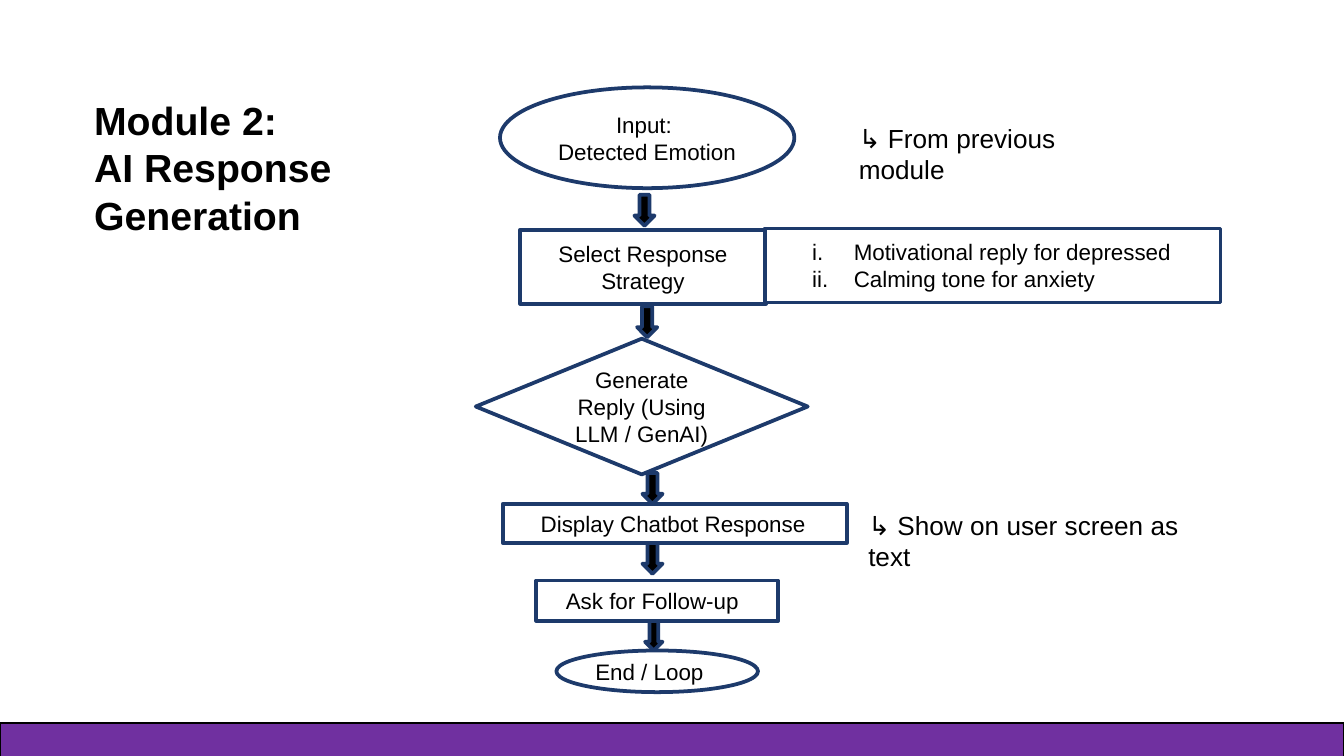
from dataclasses import dataclass
from lxml.etree import SubElement
from pptx import Presentation
from pptx.dml.color import RGBColor
from pptx.enum.shapes import MSO_SHAPE
from pptx.enum.text import MSO_ANCHOR, PP_ALIGN
from pptx.oxml.ns import qn
from pptx.util import Inches, Pt


@dataclass(frozen=True)
class Theme:
    font: str = "Arial"
    ink: str = "000000"
    edge: str = "1D3A6B"
    paper: str = "FFFFFF"
    band: str = "7030A0"
    title: int = 21
    note: int = 14
    body: int = 12


THEME = Theme()
WIDE = 10
SIZE = (WIDE, WIDE * 9 / 16)
BAND = (0, 5.38, WIDE, 0.25)
ARROWS = [
    (4.72, 1.45, 0.15, 0.23),
    (4.74, 2.28, 0.15, 0.23),
    (4.78, 3.52, 0.15, 0.23),
    (4.78, 4.04, 0.15, 0.23),
    (4.8, 4.62, 0.13, 0.22),
]
OVAL, BOX, GEM = MSO_SHAPE.OVAL, MSO_SHAPE.PARALLELOGRAM, MSO_SHAPE.DIAMOND
MID, LEFT = PP_ALIGN.CENTER, PP_ALIGN.LEFT
STEPS = [
    (OVAL, (3.72, 0.65, 2.19, 0.75), "Input: \nDetected Emotion", MID, False),
    (BOX, (3.87, 1.71, 1.83, 0.55), "Select Response Strategy", MID, False),
    (BOX, (5.69, 1.7, 3.39, 0.55),
     "Motivational reply for depressed\nCalming tone for anxiety", LEFT, True),
    (GEM, (3.54, 2.52, 2.47, 1.01), "Generate Reply (Using LLM / GenAI)", MID, False),
    (BOX, (3.74, 3.75, 2.56, 0.29), "Display Chatbot Response", LEFT, False),
    (BOX, (3.99, 4.32, 1.8, 0.3), "Ask for Follow-up", LEFT, False),
    (OVAL, (4.14, 4.84, 1.5, 0.31), "End / Loop", LEFT, False),
]
LABELS = [
    ((0.63, 0.68, 3.11, 1.14), "Module 2:\vAI Response Generation", THEME.title, True),
    ((6.32, 0.87, 2.26, 0.31), "↳ From previous module", THEME.note, False),
    ((6.39, 3.75, 2.79, 0.31), "↳ Show on user screen as text", THEME.note, False),
]


def color(code):
    """Turn a hex code into a colour."""
    return RGBColor.from_string(code)


def place(at):
    """Turn a tuple of inches into lengths."""
    return [Inches(n) for n in at]


def write(shape, text, size=THEME.body, bold=False, align=LEFT,
          anchor=MSO_ANCHOR.MIDDLE, roman=False):
    """Put formatted text into a shape."""
    frame = shape.text_frame
    frame.word_wrap = True
    frame.vertical_anchor = anchor
    frame.margin_left = frame.margin_right = Inches(0.07)
    frame.margin_top = frame.margin_bottom = Inches(0.04)
    frame.text = text
    for para in frame.paragraphs:
        para.alignment = align
        for run in para.runs:
            font = run.font
            font.name, font.size, font.bold = THEME.font, Pt(size), bold
            font.color.rgb = color(THEME.ink)
        if roman:
            props = para._p.get_or_add_pPr()
            props.set("marL", str(Inches(0.31)))
            props.set("indent", str(Inches(-0.31)))
            SubElement(props, qn("a:buAutoNum"), type="romanLcPeriod")


def draw(slide, kind, at, fill, edge=THEME.edge, width=2):
    """Add a flat outlined shape."""
    shape = slide.shapes.add_shape(kind, *place(at))
    shape.shadow.inherit = False
    shape.fill.solid()
    shape.fill.fore_color.rgb = color(fill)
    shape.line.color.rgb = color(edge)
    shape.line.width = Pt(width)
    if kind == BOX:
        shape.adjustments[0] = 0
    return shape


def main():
    """Build the flow chart slide."""
    deck = Presentation()
    deck.slide_width, deck.slide_height = place(SIZE)
    slide = deck.slides.add_slide(deck.slide_layouts[6])
    for at in ARROWS:
        draw(slide, MSO_SHAPE.DOWN_ARROW, at, THEME.ink)
    for kind, at, text, align, roman in STEPS:
        shape = draw(slide, kind, at, THEME.paper)
        write(shape, text, align=align, roman=roman)
    for at, text, size, bold in LABELS:
        label = slide.shapes.add_textbox(*place(at))
        write(label, text, size=size, bold=bold, anchor=MSO_ANCHOR.TOP)
    draw(slide, MSO_SHAPE.RECTANGLE, BAND, THEME.band, edge=THEME.ink, width=0.75)
    deck.save("out.pptx")


if __name__ == "__main__":
    main()
